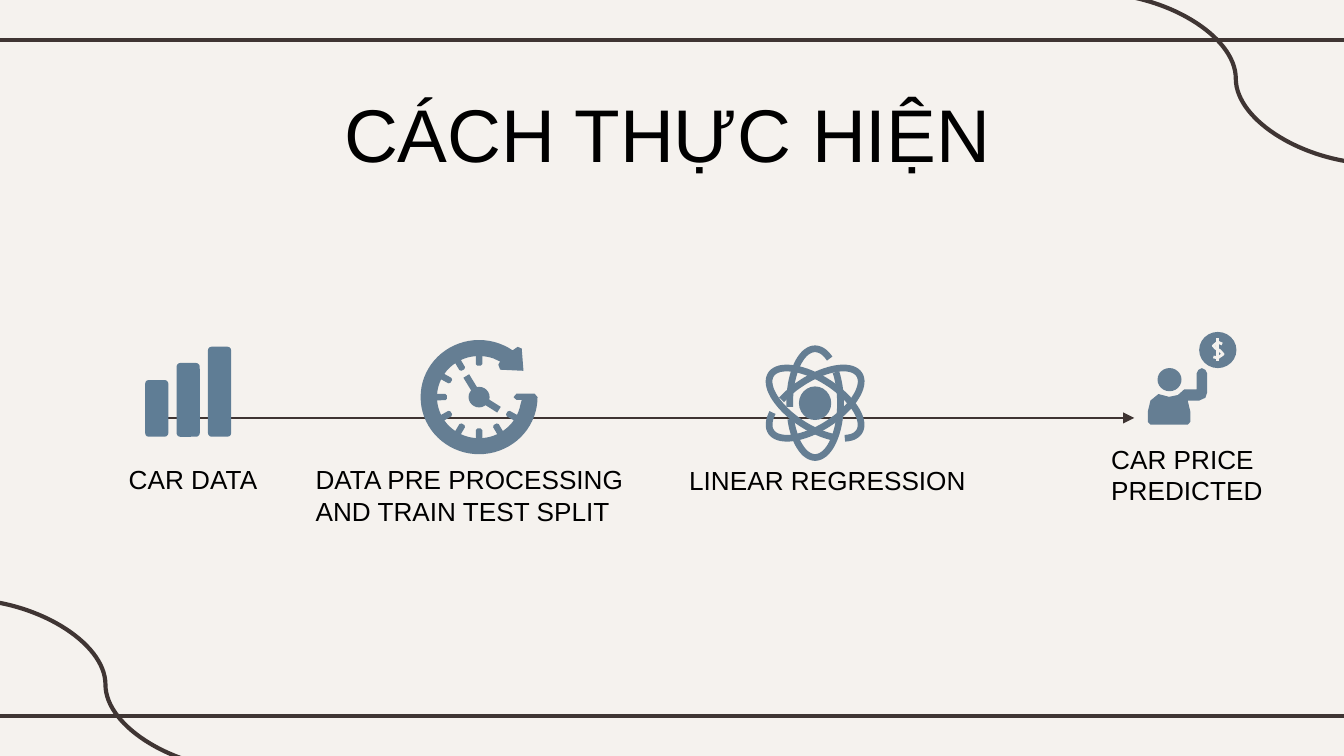
import math

import pptx
import pptx.dml.color
import pptx.enum.shapes
import pptx.enum.text
import pptx.oxml
import pptx.oxml.ns
import pptx.util

W = 10
H = W * 9 / 16
PAPER, INK, BLACK = "F5F2EE", "3F3533", "000000"
STEEL, SLATE = "657E93", "5F7D95"
CONNECTOR = pptx.enum.shapes.MSO_CONNECTOR
SHAPE = pptx.enum.shapes.MSO_SHAPE


def inch(value):
    return pptx.util.Inches(value)


def color(hex_string):
    return pptx.dml.color.RGBColor.from_string(hex_string)


def xml(tag, attributes=""):
    ns = pptx.oxml.ns.nsdecls("a")
    return pptx.oxml.parse_xml(f"<a:{tag} {ns} {attributes}/>")


def inside(box, points):
    """Turn shares of a box into slide positions in inches."""
    x, y, w, h = box
    return [(x + u * w, y + v * h) for u, v in points]


def polar(radius, degrees):
    a = math.radians(degrees)
    return radius * math.cos(a), radius * math.sin(a)


def add_line(shapes, start, end, hex_string, width, kind=CONNECTOR.STRAIGHT):
    c = shapes.add_connector(kind, *[inch(v) for v in (*start, *end)])
    c.line.color.rgb = color(hex_string)
    c.line.width = pptx.util.Pt(width)
    c.element.spPr.append(xml("effectLst"))
    return c


def paint(sp, hex_string):
    sp.shadow.inherit = False
    sp.fill.solid()
    sp.fill.fore_color.rgb = color(hex_string)
    sp.line.fill.background()


def add_preset(shapes, kind, box, hex_string):
    sp = shapes.add_shape(kind, *[inch(v) for v in box])
    paint(sp, hex_string)
    return sp


def add_outline(shapes, points, hex_string, stroke=None):
    """Filled outline, or an open stroke when a width is given."""
    dots = [(inch(x), inch(y)) for x, y in points]
    builder = shapes.build_freeform(*dots[0])
    builder.add_line_segments(dots[1:], close=stroke is None)
    sp = builder.convert_to_shape()
    paint(sp, hex_string)
    if stroke:
        sp.fill.background()
        sp.line.color.rgb = color(hex_string)
        sp.line.width = pptx.util.Pt(stroke)


def write(sp, box, text, size):
    sp.left, sp.top, sp.width, sp.height = [inch(v) for v in box]
    tf = sp.text_frame
    tf.word_wrap = True
    tf.auto_size = pptx.enum.text.MSO_AUTO_SIZE.SHAPE_TO_FIT_TEXT
    tf.vertical_anchor = pptx.enum.text.MSO_ANCHOR.TOP
    p = tf.paragraphs[0]
    p.alignment = pptx.enum.text.PP_ALIGN.LEFT
    r = p.add_run()
    r.text = text
    r.font.name = "Arial"
    r.font.size = pptx.util.Pt(size)
    r.font.color.rgb = color(BLACK)


def frame(s):
    """Rules along the top and bottom, waves in two corners."""
    for y in (0.3, 5.33):
        add_line(s.shapes, (-0.08, y), (W + 0.08, y), INK, 2.25)
    for x, y in ((-0.27, 4.46), (8.14, -0.05)):
        add_line(s.shapes, (x, y), (x + 2.11, y + 1.27), INK, 2.25,
                 CONNECTOR.CURVE)


def bars_icon(shapes, box):
    x, y, w, h = box
    for i, share in enumerate((0.63, 0.82, 1)):
        bar = (x + i * 0.365 * w, y + (1 - share) * h, 0.27 * w, share * h)
        sp = add_preset(shapes, SHAPE.ROUNDED_RECTANGLE, bar, SLATE)
        sp.adjustments[0] = 0.16


def clock_icon(shapes, box):
    x, y, w, h = box
    unit = (x + w / 2, y + h / 2, w / 2, h / 2)
    # Ring: outer arc, arrowhead, then the inner arc back with its ticks
    ring = [polar(1, a) for a in range(0, 306, 5)]
    ring += [(0.66, -0.88), (0.73, -0.85), (0.76, -0.46), (0.36, -0.48),
             (0.33, -0.57)]
    tick = ((0.72, 4.4), (0.58, 5.4), (0.55, 3),
            (0.55, -3), (0.58, -5.4), (0.72, -4.4))
    ring.append(polar(0.72, 300))
    for a in range(270, 0, -30):
        ring += [polar(0.72, a + d) for d in (20, 15, 10)]
        ring += [polar(radius, a + d) for radius, d in tick]
    ring += [polar(0.72, a) for a in (20, 15, 10)]
    ring += [(0.73, 0.05), (0.64, 0.05), (0.59, 0), (0.64, -0.06),
             (0.95, -0.06)]
    add_outline(shapes, inside(unit, ring), STEEL)
    # Hands and hub
    for tip in ((-0.22, -0.37), (0.34, 0.22)):
        add_outline(shapes, inside(unit, [(0, 0), tip]), STEEL, 3.6)
    add_preset(shapes, SHAPE.OVAL,
               (x + 0.41 * w, y + 0.41 * h, 0.18 * w, 0.18 * h), STEEL)


def atom_icon(shapes, box):
    x, y, w, h = box
    unit = (x + w / 2, y + h / 2, h / 2, h / 2)
    # Half axes, tilt and the drawn arcs of each orbit
    orbits = ((0.94, 0.44, 90, ((86, 215), (235, 433))),
              (0.91, 0.42, 33, ((48, 393),)),
              (0.91, 0.42, -33, ((240, 579),)))
    for major, minor, tilt, arcs in orbits:
        c, d = polar(1, tilt)
        for start, end in arcs:
            n = round((end - start) / 5)
            turns = [polar(1, start + (end - start) * i / n)
                     for i in range(n + 1)]
            arc = [(major * u * c - minor * v * d,
                    major * u * d + minor * v * c) for u, v in turns]
            add_outline(shapes, inside(unit, arc), STEEL, 3.6)
    add_preset(shapes, SHAPE.OVAL,
               (x + w / 2 - 0.12, y + h / 2 - 0.125, 0.24, 0.25), STEEL)


def bidder_icon(shapes, box):
    x, y, w, h = box
    body = [(0.55, 0.45), (0.55, 0.62), (0.41, 0.62), (0.34, 0.68),
            (0.24, 0.7), (0.12, 0.67), (0.03, 0.74), (0, 0.86), (0, 0.97),
            (0.03, 1), (0.45, 1), (0.48, 0.97), (0.48, 0.86), (0.45, 0.74),
            (0.58, 0.74), (0.65, 0.71), (0.67, 0.65), (0.67, 0.45),
            (0.65, 0.41), (0.61, 0.39), (0.57, 0.41)]
    add_outline(shapes, inside(box, body), STEEL)
    # Head and coin
    for u, v, dw, dh in ((0.11, 0.39, 0.27, 0.25), (0.58, 0, 0.42, 0.39)):
        add_preset(shapes, SHAPE.OVAL,
                   (x + u * w, y + v * h, dw * w, dh * h), STEEL)
    # Dollar sign
    curve = [(0.84, 0.13), (0.79, 0.11), (0.74, 0.15), (0.77, 0.18),
             (0.81, 0.2), (0.85, 0.24), (0.79, 0.28), (0.74, 0.27)]
    for stroke in (curve, [(0.79, 0.07), (0.79, 0.31)]):
        add_outline(shapes, inside(box, stroke), PAPER, 1.5)


def step(s, draw_icon, icon_box, text, label_box):
    draw_icon(s.shapes.add_group_shape().shapes, icon_box)
    label = s.shapes.add_textbox(0, 0, 0, 0)
    write(label, label_box, text, 14)


def timeline(s):
    arrow = add_line(s.shapes, (1.19, 3.11), (8.44, 3.11), "3E3432", 0.75)
    ln = arrow.element.spPr.find(pptx.oxml.ns.qn("a:ln"))
    ln.append(xml("tailEnd", "type='triangle'"))
    step(s, bidder_icon, (8.54, 2.47, 0.66, 0.69),
         "CAR PRICE PREDICTED", (8.17, 3.25, 1.6, 0.57))
    step(s, bars_icon, (1.08, 2.58, 0.64, 0.67),
         "CAR DATA", (0.86, 3.4, 1.27, 0.34))
    step(s, atom_icon, (5.7, 2.57, 0.73, 0.86),
         "LINEAR REGRESSION", (5.03, 3.41, 2.34, 0.34))
    step(s, clock_icon, (3.13, 2.53, 0.87, 0.85),
         "DATA PRE PROCESSING AND TRAIN TEST SPLIT", (2.25, 3.4, 2.64, 0.57))


def main():
    prs = pptx.Presentation()
    prs.slide_width, prs.slide_height = inch(W), inch(H)
    s = prs.slides.add_slide(prs.slide_layouts[5])
    s.background.fill.solid()
    s.background.fill.fore_color.rgb = color(PAPER)
    frame(s)
    write(s.shapes.title, (2.46, 0.6, 5.14, 0.77), "CÁCH THỰC HIỆN", 40)
    timeline(s)
    prs.save("out.pptx")


if __name__ == "__main__":
    main()
